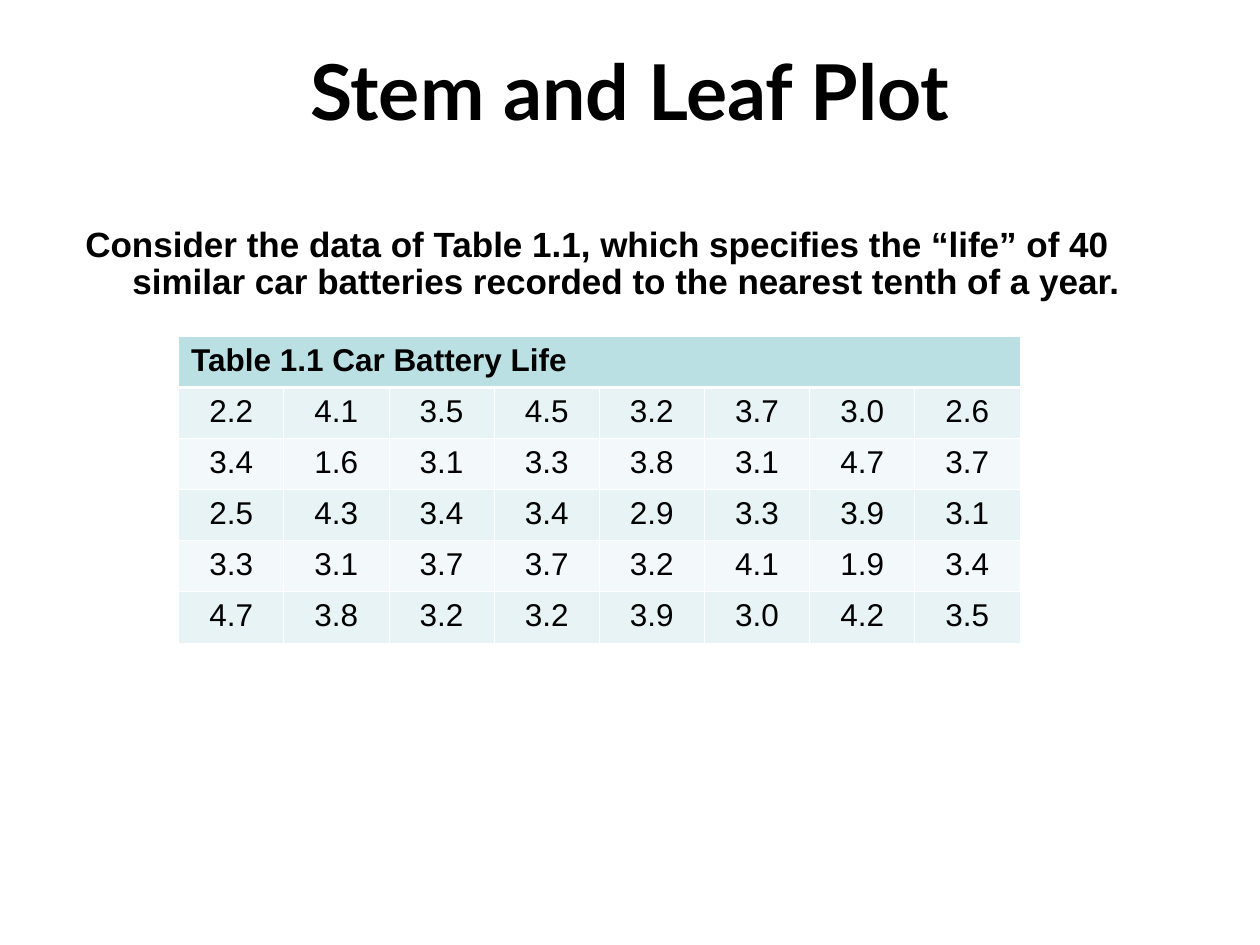
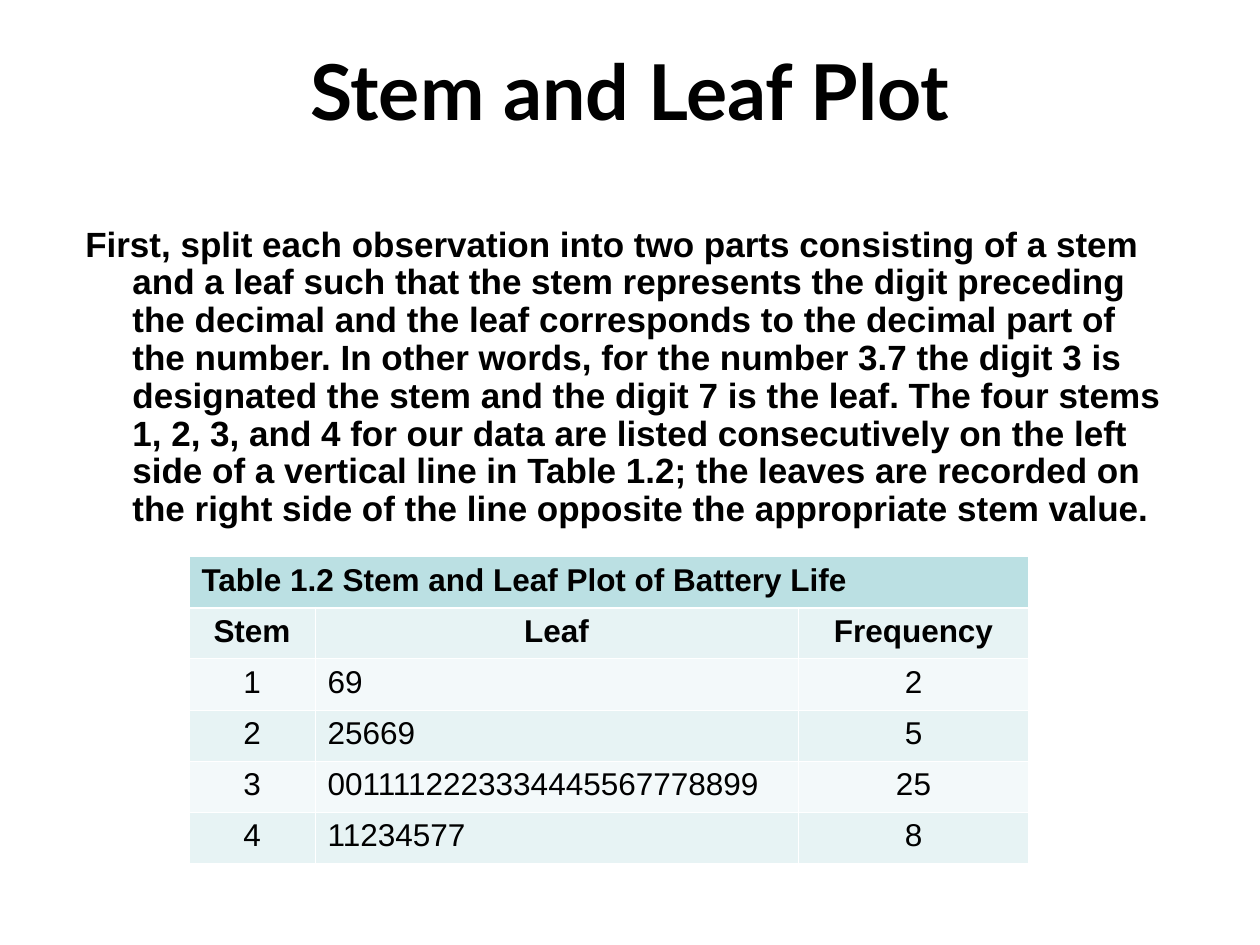
from lxml import etree
from pptx import Presentation
from pptx.dml.color import RGBColor
from pptx.enum.text import MSO_ANCHOR, MSO_AUTO_SIZE, PP_ALIGN
from pptx.oxml.ns import qn
from pptx.util import Cm, Pt

BLACK = RGBColor(0x00, 0x00, 0x00)
WHITE = RGBColor(0xFF, 0xFF, 0xFF)
HEADER = RGBColor(0xBB, 0xE0, 0xE3)
BANDS = [RGBColor(0xF3, 0xF9, 0xFA), RGBColor(0xE7, 0xF3, 0xF4)]
THIN, THICK = Pt(0.45), Pt(1.47)
ROW_H = 1.03


def style(p, font, size, bold, align=PP_ALIGN.LEFT):
    p.alignment = align
    p.font.name, p.font.size, p.font.bold = font, Pt(size), bold
    p.font.color.rgb = BLACK


def add_borders(cell, row):
    top = THICK if row == 1 else THIN
    bottom = THICK if row == 0 else THIN
    tcPr = cell._tc.get_or_add_tcPr()
    for side, width in zip("LRTB", (THIN, THIN, top, bottom)):
        ln = etree.SubElement(tcPr, qn(f"a:ln{side}"), w=str(width))
        fill = etree.SubElement(ln, qn("a:solidFill"))
        etree.SubElement(fill, qn("a:srgbClr"), val=str(WHITE))


# Content: text, table position, column widths, caption, rows,
# number of bold heading rows, left-aligned columns
slides = [
    dict(
        text="Consider the data of Table 1.1, which specifies the “life” of 40 "
             "similar car batteries recorded to the nearest tenth of a year.",
        left=3.6, top=6.78, widths=[2.12] * 8,
        caption="Table 1.1 Car Battery Life",
        rows=["2.2 4.1 3.5 4.5 3.2 3.7 3.0 2.6",
              "3.4 1.6 3.1 3.3 3.8 3.1 4.7 3.7",
              "2.5 4.3 3.4 3.4 2.9 3.3 3.9 3.1",
              "3.3 3.1 3.7 3.7 3.2 4.1 1.9 3.4",
              "4.7 3.8 3.2 3.2 3.9 3.0 4.2 3.5"],
        headings=0, left_cols=[]),
    dict(
        text="First, split each observation into two parts consisting of a stem "
             "and a leaf such that the stem represents the digit preceding the "
             "decimal and the leaf corresponds to the decimal part of the number. "
             "In other words, for the number 3.7 the digit 3 is designated the "
             "stem and the digit 7 is the leaf. The four stems 1, 2, 3, and 4 for "
             "our data are listed consecutively on the left side of a vertical "
             "line in Table 1.2; the leaves are recorded on the right side of the "
             "line opposite the appropriate stem value.",
        left=3.81, top=11.22, widths=[2.54, 9.74, 4.65],
        caption="Table 1.2 Stem and Leaf Plot of Battery Life",
        rows=["Stem Leaf Frequency",
              "1 69 2",
              "2 25669 5",
              "3 0011112223334445567778899 25",
              "4 11234577 8"],
        headings=1, left_cols=[1]),
]

prs = Presentation()
prs.slide_width, prs.slide_height = Cm(25.4), Cm(19.05)

for data in slides:
    s = prs.slides.add_slide(prs.slide_layouts[5])

    # Title
    title = s.shapes.title
    title.left, title.top, title.width, title.height = Cm(1.27), Cm(0.76), Cm(22.86), Cm(3.18)
    tf = title.text_frame
    tf.text = "Stem and Leaf Plot"
    tf.auto_size = MSO_AUTO_SIZE.NONE
    tf.vertical_anchor = MSO_ANCHOR.TOP
    style(tf.paragraphs[0], "Lato", 44, True, PP_ALIGN.CENTER)

    # Body text with a hanging indent
    tf = s.shapes.add_textbox(Cm(1.47), Cm(4.45), Cm(22.23), Cm(12.07)).text_frame
    tf.word_wrap = True
    p = tf.paragraphs[0]
    p.text = data["text"]
    p.line_spacing = 0.9
    pPr = p._p.get_or_add_pPr()
    pPr.set("marL", str(Cm(0.95)))
    pPr.set("indent", str(-Cm(0.95)))
    style(p, "Arial", 20, True)

    # Table
    rows = [[data["caption"]]] + [line.split() for line in data["rows"]]
    widths = data["widths"]
    table = s.shapes.add_table(len(rows), len(widths), Cm(data["left"]), Cm(data["top"]),
                               Cm(sum(widths)), Cm(ROW_H * len(rows))).table
    for col, width in zip(table.columns, widths):
        col.width = Cm(width)
    table.cell(0, 0).merge(table.cell(0, len(widths) - 1))

    for i, row in enumerate(rows):
        for j in range(len(widths)):
            cell = table.cell(i, j)
            add_borders(cell, i)
            cell.fill.solid()
            cell.fill.fore_color.rgb = BANDS[i % 2] if i else HEADER
            if j < len(row):
                bold = i <= data["headings"]
                flush = i == 0 or (j in data["left_cols"] and not bold)
                cell.text = row[j]
                style(cell.text_frame.paragraphs[0], "Arial", 18, bold,
                      PP_ALIGN.LEFT if flush else PP_ALIGN.CENTER)

prs.save("out.pptx")
